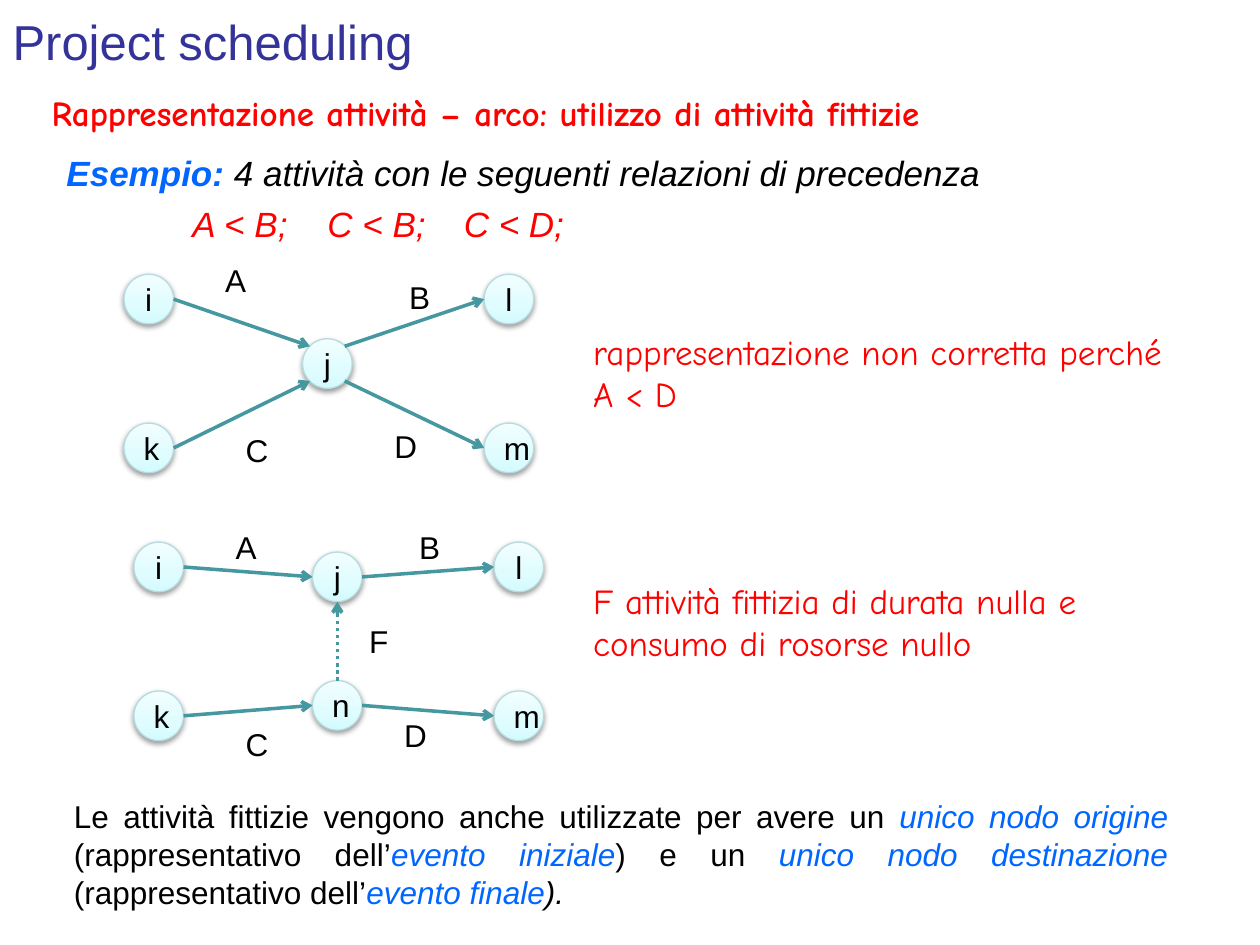
from copy import deepcopy
from typing import NamedTuple

from lxml.etree import SubElement
from pptx import Presentation
from pptx.dml.color import RGBColor
from pptx.enum.dml import MSO_LINE
from pptx.enum.shapes import MSO_CONNECTOR, MSO_SHAPE
from pptx.enum.text import MSO_ANCHOR, MSO_AUTO_SIZE, PP_ALIGN
from pptx.oxml.ns import qn
from pptx.slide import Slide
from pptx.util import Cm, Pt

COLORS = {
    "title": "333399", "red": "FF0000", "blue": "0066FF", "black": "000000",
    "edge": "B6DCDF", "arrow": "4597A0",
}
STOPS = [(0, "D3FBFF"), (0.35, "DFFCFF"), (1, "F2FEFF")]
SIZE = 1.0  # node diameter, cm
ARC = 0.15  # inset of a diagonal point on a circle, as a share of its width
SIDES = {
    "top": (0.5, 0), "bottom": (0.5, 1), "left": (0, 0.5), "right": (1, 0.5),
    "nw": (ARC, ARC), "ne": (1 - ARC, ARC),
    "sw": (ARC, 1 - ARC), "se": (1 - ARC, 1 - ARC),
}


class Node(NamedTuple):
    name: str
    x: float
    y: float


class Link(NamedTuple):
    start: str
    exit: str
    end: str
    entry: str
    dotted: bool = False


class Label(NamedTuple):
    text: str
    x: float
    y: float


class Graph(NamedTuple):
    nodes: list[Node]
    links: list[Link]
    labels: list[Label]


class Run(NamedTuple):
    text: str
    color: str = "black"
    bold: bool = False
    italic: bool = False


class Box(NamedTuple):
    x: float
    y: float
    w: float
    h: float
    runs: list[Run]
    size: int
    face: str = "Arial"
    align: PP_ALIGN = PP_ALIGN.LEFT
    tabs: tuple[float, ...] = ()


def corners(x: float, y: float) -> list[Node]:
    """Place the four outer nodes, which both graphs share."""
    wide, high = 7.26, 3.0
    return [Node("i", x, y), Node("l", x + wide, y),
            Node("k", x, y + high), Node("m", x + wide, y + high)]


WRONG = Graph(
    corners(2.5, 5.53) + [Node("j", 6.1, 6.83)],
    [Link("i", "right", "j", "nw"), Link("k", "right", "j", "sw"),
     Link("j", "ne", "l", "left"), Link("j", "se", "m", "left")],
    [Label("A", 4.29, 5.13), Label("B", 8, 5.49),
     Label("C", 4.7, 8.56), Label("D", 7.7, 8.48)],
)
RIGHT = Graph(
    corners(2.7, 10.93) + [Node("j", 6.3, 11.13), Node("n", 6.3, 13.72)],
    [Link("i", "right", "j", "left"), Link("k", "right", "n", "left"),
     Link("j", "right", "l", "left"), Link("n", "right", "m", "left"),
     Link("n", "top", "j", "bottom", True)],
    [Label("A", 4.5, 10.52), Label("B", 8.2, 10.52), Label("C", 4.7, 14.5),
     Label("D", 7.9, 14.3), Label("F", 7.19, 12.42)],
)
BOXES = [
    Box(0.79, 1.73, 23.42, 1.12,
        [Run("Rappresentazione attività – arco: utilizzo di attività fittizie",
             "red", bold=True)], 20, "Comic Neue"),
    Box(1.09, 2.92, 19.84, 1.12,
        [Run("Esempio:", "blue", True, True),
         Run(" 4 attività con le seguenti relazioni di precedenza", italic=True)],
        20, align=PP_ALIGN.JUSTIFY),
    Box(1.09, 3.96, 19.84, 1.12,
        [Run("\tA < B;\tC < B;\tC < D;", "red", italic=True)],
        20, tabs=(2.54, 5.26, 8.01)),
    Box(11.71, 6.53, 12.12, 1.96,
        [Run("rappresentazione non corretta perché A < D", "red")],
        20, "Comic Neue"),
    Box(11.71, 11.56, 12.12, 1.96,
        [Run("F attività fittizia di durata nulla e consumo di rosorse nullo",
             "red")], 20, "Comic Neue"),
    Box(1.24, 15.95, 22.56, 2.57,
        [Run("Le attività fittizie vengono anche utilizzate per avere un "),
         Run("unico nodo origine ", "blue", italic=True),
         Run("(rappresentativo dell’"),
         Run("evento iniziale", "blue", italic=True),
         Run(") e un "),
         Run("unico nodo destinazione ", "blue", italic=True),
         Run("(rappresentativo dell’"),
         Run("evento finale", "blue", italic=True),
         Run(").", italic=True)], 18, align=PP_ALIGN.JUSTIFY),
]


def paint(name: str) -> RGBColor:
    return RGBColor.from_string(COLORS[name])


def style(font, size: int, color: str, face: str = "Arial") -> None:
    font.size, font.name = Pt(size), face
    font.color.rgb = paint(color)


def draw_box(slide: Slide, box: Box) -> None:
    shape = slide.shapes.add_textbox(Cm(box.x), Cm(box.y), Cm(box.w), Cm(box.h))
    frame = shape.text_frame
    frame.word_wrap = True
    frame.auto_size = MSO_AUTO_SIZE.SHAPE_TO_FIT_TEXT
    para = frame.paragraphs[0]
    para.alignment = box.align
    if box.tabs:
        stops = SubElement(para._p.get_or_add_pPr(), qn("a:tabLst"))
        for tab in box.tabs:
            SubElement(stops, qn("a:tab"), pos=str(Cm(tab)), algn="l")
    style(para.font, box.size, box.runs[0].color, box.face)
    for part in box.runs:
        run = para.add_run()
        run.text = part.text
        run.font.bold, run.font.italic = part.bold, part.italic
        run.font.color.rgb = paint(part.color)


def draw_node(slide: Slide, node: Node) -> None:
    shape = slide.shapes.add_shape(
        MSO_SHAPE.OVAL, Cm(node.x), Cm(node.y), Cm(SIZE), Cm(SIZE))
    shape.fill.gradient()
    shape.fill.gradient_angle = 90
    first = shape._element.spPr.find(".//" + qn("a:gs"))
    first.addnext(deepcopy(first))
    for stop, (place, color) in zip(shape.fill.gradient_stops, STOPS):
        stop.position = place
        stop.color.rgb = RGBColor.from_string(color)
    shape.line.color.rgb = paint("edge")
    shape.line.width = Pt(0.75)
    shape.shadow.inherit = False
    glow = SubElement(
        shape._element.spPr.find(qn("a:effectLst")), qn("a:outerShdw"),
        blurRad=str(Pt(3.1)), dist=str(Pt(1.6)), dir="5400000", rotWithShape="0")
    tint = SubElement(glow, qn("a:srgbClr"), val=COLORS["black"])
    SubElement(tint, qn("a:alpha"), val="38000")
    shape.text_frame.text = node.name
    shape.text_frame.vertical_anchor = MSO_ANCHOR.MIDDLE
    para = shape.text_frame.paragraphs[0]
    para.alignment = PP_ALIGN.CENTER
    style(para.font, 18, "black")


def point(node: Node, side: str) -> tuple[Cm, Cm]:
    across, down = SIDES[side]
    return Cm(node.x + SIZE * across), Cm(node.y + SIZE * down)


def draw_link(slide: Slide, link: Link, nodes: dict[str, Node]) -> None:
    line = slide.shapes.add_connector(
        MSO_CONNECTOR.STRAIGHT, *point(nodes[link.start], link.exit),
        *point(nodes[link.end], link.entry))
    line.line.color.rgb = paint("arrow")
    line.line.width = Pt(2)
    if link.dotted:
        line.line.dash_style = MSO_LINE.ROUND_DOT
    SubElement(line.line._get_or_add_ln(), qn("a:tailEnd"), type="arrow")
    SubElement(line._element.spPr, qn("a:effectLst"))


def draw_graph(slide: Slide, graph: Graph) -> None:
    nodes = {node.name: node for node in graph.nodes}
    for node in graph.nodes:
        draw_node(slide, node)
    for link in graph.links:
        draw_link(slide, link, nodes)
    for label in graph.labels:
        draw_box(slide, Box(label.x, label.y, 1.3, 1.02, [Run(label.text)], 18))


def main() -> None:
    deck = Presentation()
    deck.slide_width, deck.slide_height = Cm(25.4), Cm(19.05)
    slide = deck.slides.add_slide(deck.slide_layouts[5])
    title = slide.shapes.title
    title.left, title.top, title.width, title.height = (
        Cm(0), Cm(-0.08), Cm(22.86), Cm(1.8))
    title.text_frame.text = "Project scheduling"
    title.text_frame.vertical_anchor = MSO_ANCHOR.MIDDLE
    para = title.text_frame.paragraphs[0]
    para.alignment = PP_ALIGN.LEFT
    style(para.font, 28, "title")
    for graph in (WRONG, RIGHT):
        draw_graph(slide, graph)
    for box in BOXES:
        draw_box(slide, box)
    deck.save("out.pptx")


if __name__ == "__main__":
    main()
